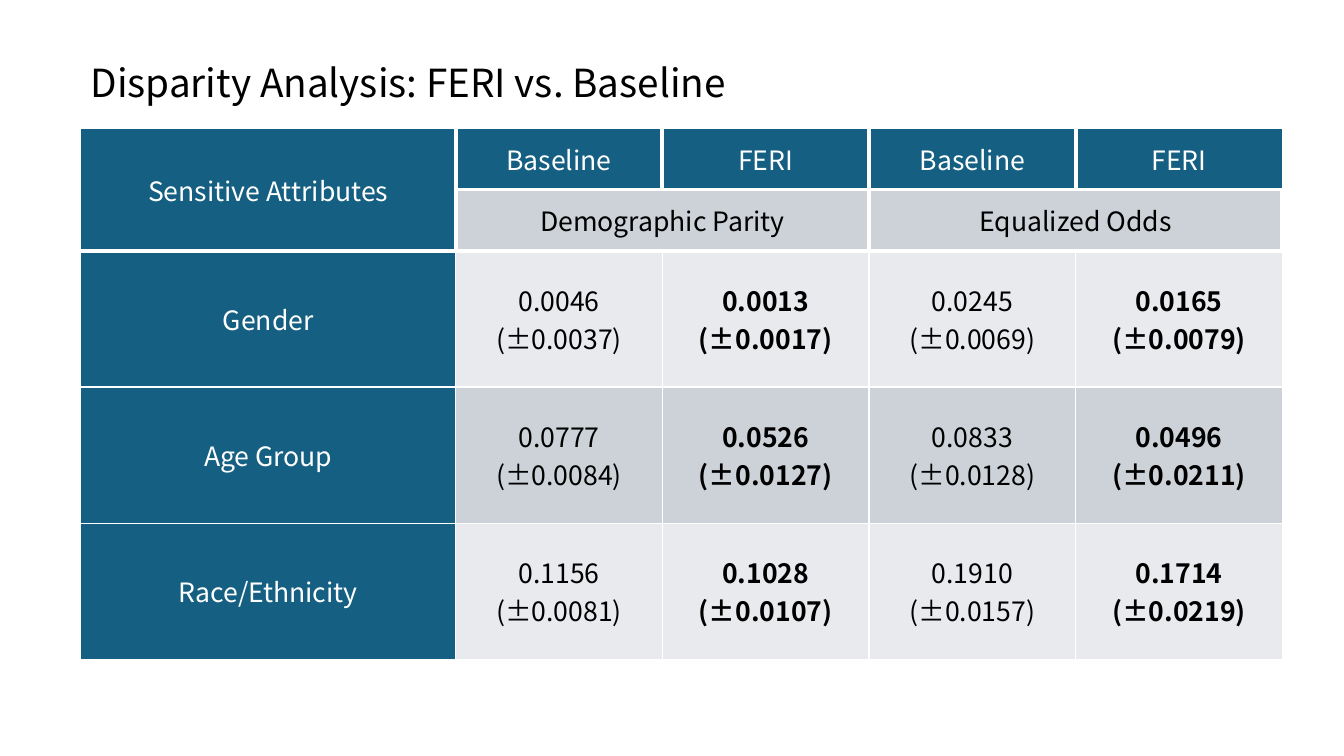
import pptx
import pptx.util
import pptx.dml.color
import pptx.enum.text
import pptx.oxml
import pptx.oxml.ns
from pptx.util import Inches

FONT = "Noto Sans CJK SC"
COLORS = {
    "black": "000000",
    "white": "FFFFFF",
    "header": "156082",
    "dark_band": "CCD2D8",
    "light_band": "E8EAED",
}
HEADINGS = ["Sensitive Attributes", "Baseline", "FERI", "Baseline", "FERI"]
METRICS = ["", "Demographic Parity", "", "Equalized Odds", ""]
RESULTS = [
    ["Gender", "0.0046\n(±0.0037)", "0.0013\n(±0.0017)",
     "0.0245\n(±0.0069)", "0.0165\n(±0.0079)"],
    ["Age Group", "0.0777\n(±0.0084)", "0.0526\n(±0.0127)",
     "0.0833\n(±0.0128)", "0.0496\n(±0.0211)"],
    ["Race/Ethnicity", "0.1156\n(±0.0081)", "0.1028\n(±0.0107)",
     "0.1910\n(±0.0157)", "0.1714\n(±0.0219)"],
]


def style_paragraph(para, size, color, bold=False):
    para.font.name = FONT
    para.font.size = pptx.util.Pt(size)
    para.font.bold = bold
    para.font.color.rgb = pptx.dml.color.RGBColor.from_string(COLORS[color])


def add_border(cell, side, points):
    cell._tc.get_or_add_tcPr().append(pptx.oxml.parse_xml(
        f'<a:{side} {pptx.oxml.ns.nsdecls("a")} w="{pptx.util.Pt(points)}">'
        f'<a:solidFill><a:srgbClr val="{COLORS["white"]}"/></a:solidFill>'
        f'</a:{side}>'))


deck = pptx.Presentation()
deck.slide_width = Inches(13.33)
deck.slide_height = Inches(7.5)
page = deck.slides.add_slide(deck.slide_layouts[6])

# Title
title = page.shapes.add_textbox(Inches(0.8), Inches(0.64), Inches(9.89), Inches(0.41))
frame = title.text_frame
frame.word_wrap = True
frame.vertical_anchor = pptx.enum.text.MSO_ANCHOR.MIDDLE
frame.margin_top = frame.margin_bottom = 0
frame.text = "Disparity Analysis: FERI vs. Baseline"
frame.paragraphs[0].line_spacing = 0.9
style_paragraph(frame.paragraphs[0], 27.6, "black")

# Table grid
rows = [HEADINGS, METRICS] + RESULTS
table = page.shapes.add_table(len(rows), len(HEADINGS), Inches(0.8), Inches(1.27),
                              Inches(11.92), Inches(5.27)).table
for index, column in enumerate(table.columns):
    column.width = Inches(3.72 if index == 0 else 2.05)
for index, row in enumerate(table.rows):
    row.height = Inches(0.61 if index < 2 else 1.35)

# Cells: text, fill and borders
last = len(HEADINGS) - 1
for r, texts in enumerate(rows):
    for c, text in enumerate(texts):
        cell = table.cell(r, c)
        is_header = r == 0 or c == 0
        cell.vertical_anchor = pptx.enum.text.MSO_ANCHOR.MIDDLE
        cell.margin_left = cell.margin_right = Inches(0.1)
        cell.margin_top = cell.margin_bottom = 0
        cell.text = text
        for para in cell.text_frame.paragraphs:
            para.alignment = pptx.enum.text.PP_ALIGN.CENTER
            style_paragraph(para, 19, "white" if is_header else "black",
                            bold=r >= 2 and c in (2, 4))

        add_border(cell, "lnL", 3 if r < 2 and c > 0 else 1)
        add_border(cell, "lnR", 3 if r < 2 and c < last else 1)
        add_border(cell, "lnT", 3 if r == 2 else 1)
        add_border(cell, "lnB", 3 if r < 2 else 1)
        band = "dark_band" if r % 2 else "light_band"
        cell.fill.solid()
        cell.fill.fore_color.rgb = pptx.dml.color.RGBColor.from_string(
            COLORS["header" if is_header else band])

# Merged headings
table.cell(0, 0).merge(table.cell(1, 0))
for c in (1, 3):
    table.cell(1, c).merge(table.cell(1, c + 1))

deck.save("out.pptx")
